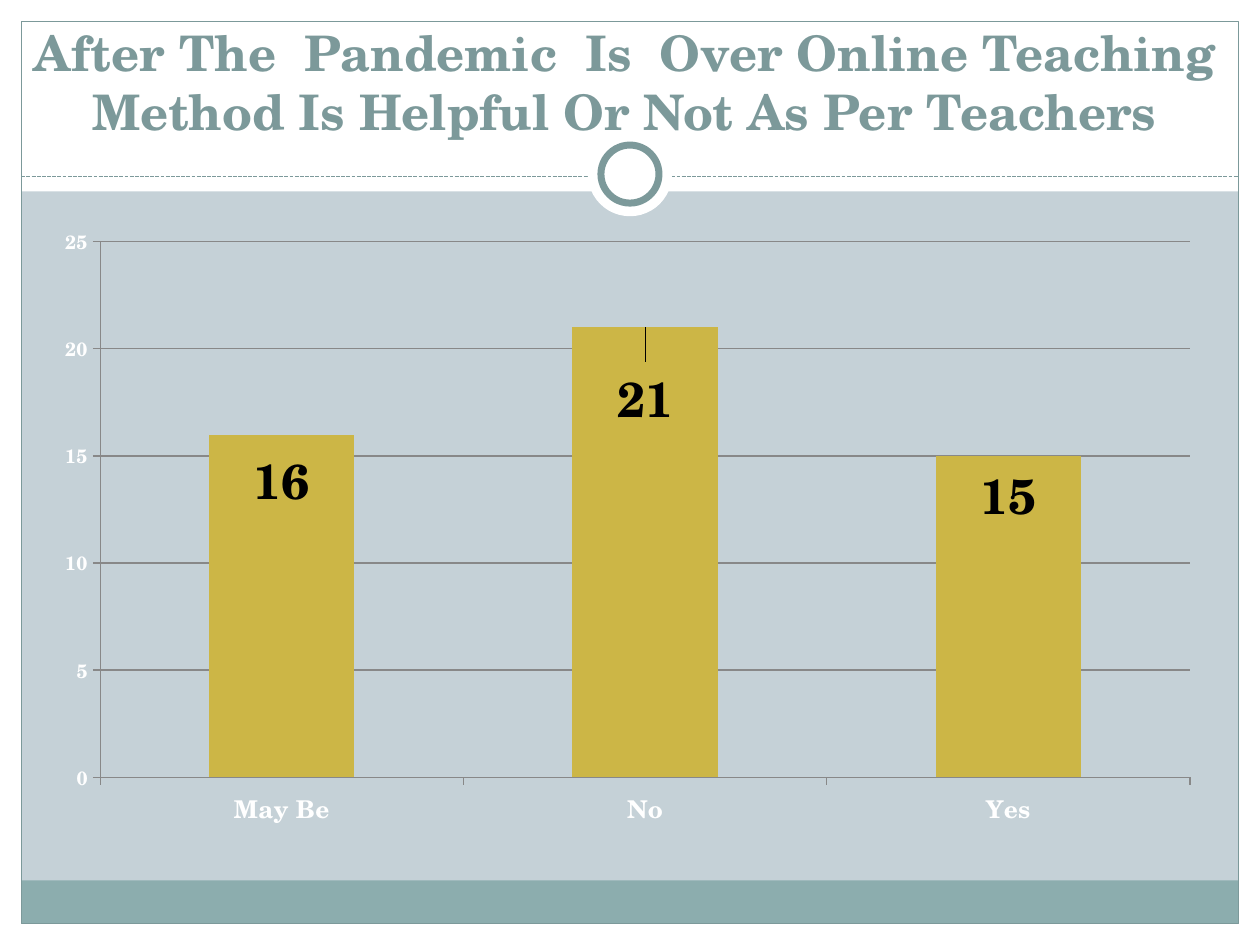
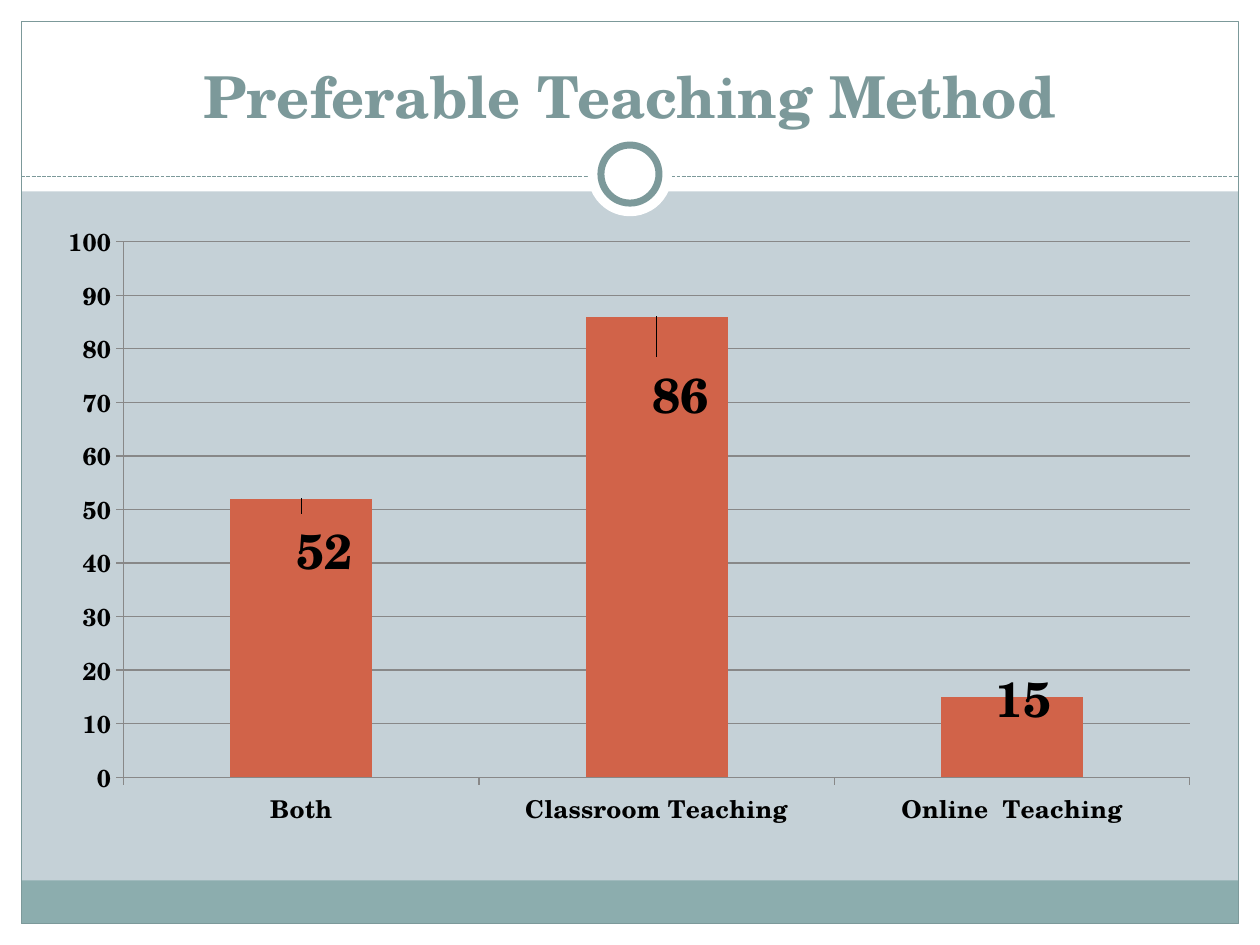
from lxml import etree
from pptx import Presentation
from pptx.chart.data import CategoryChartData
from pptx.dml.color import RGBColor
from pptx.enum.chart import XL_CHART_TYPE, XL_LABEL_POSITION, XL_TICK_MARK
from pptx.enum.dml import MSO_LINE
from pptx.enum.shapes import MSO_CONNECTOR, MSO_SHAPE
from pptx.enum.text import MSO_ANCHOR, MSO_AUTO_SIZE, PP_ALIGN
from pptx.oxml.ns import qn
from pptx.util import Cm, Pt

RECTANGLE, OVAL = MSO_SHAPE.RECTANGLE, MSO_SHAPE.OVAL
STRAIGHT = MSO_CONNECTOR.STRAIGHT
DASH = MSO_LINE.SQUARE_DOT
COLUMNS = XL_CHART_TYPE.COLUMN_CLUSTERED
OUTSIDE_END = XL_LABEL_POSITION.OUTSIDE_END
TICK_OUT, TICK_NONE = XL_TICK_MARK.OUTSIDE, XL_TICK_MARK.NONE
CENTER, BOTTOM = PP_ALIGN.CENTER, MSO_ANCHOR.BOTTOM
NO_AUTOFIT = MSO_AUTO_SIZE.NONE

WHITE = RGBColor(0xFF, 0xFF, 0xFF)
BLACK = RGBColor(0x00, 0x00, 0x00)
MIST = RGBColor(0xC5, 0xD1, 0xD7)
TEAL = RGBColor(0x7C, 0x99, 0x9A)
FOOTER_TEAL = RGBColor(0x8C, 0xAD, 0xAE)
GOLD = RGBColor(0xCC, 0xB6, 0x46)
BRICK = RGBColor(0xD1, 0x63, 0x49)
GRID_GREY = RGBColor(0x88, 0x88, 0x88)

FONT = "TeX Gyre Schola"
WIDTH, HEIGHT = 25.4, 19.05
MARGIN = 0.43
HEADER_HEIGHT = 3.86
FOOTER_TOP, FOOTER_HEIGHT = 17.75, 0.87
RULE_Y = 3.56
RING_Y = 3.51
CHART_BOX = (0.84, 4.24, 23.62, 12.7)


def style_font(font, size, color):
    font.name = FONT
    font.size = Pt(size)
    font.bold = True
    font.color.rgb = color


def chart_layout(**settings):
    """Return a manual c:layout element with the given settings."""
    layout = etree.Element(qn("c:layout"))
    manual = etree.SubElement(layout, qn("c:manualLayout"))
    for tag, value in settings.items():
        etree.SubElement(manual, qn(f"c:{tag}"), val=str(value))
    return layout


class SurveyDeck:
    def __init__(self):
        self.prs = Presentation()
        self.prs.slide_width, self.prs.slide_height = Cm(WIDTH), Cm(HEIGHT)
        background = self.prs.slide_master.background.fill
        background.solid()
        background.fore_color.rgb = MIST
        self.slide = None

    def new_slide(self):
        self.slide = self.prs.slides.add_slide(self.prs.slide_layouts[5])
        self.frame()

    def shape(self, kind, box, fill=None, line=None, weight=0.75):
        shape = self.slide.shapes.add_shape(kind, *map(Cm, box))
        shape.shadow.inherit = False
        if fill is None:
            shape.fill.background()
        else:
            shape.fill.solid()
            shape.fill.fore_color.rgb = fill
        if line is None:
            shape.line.fill.background()
        else:
            shape.line.color.rgb = line
            shape.line.width = Pt(weight)

    def circle(self, diameter, **style):
        left, top = WIDTH / 2 - diameter / 2, RING_Y - diameter / 2
        self.shape(OVAL, (left, top, diameter, diameter), WHITE, **style)

    def rule(self):
        rule = self.slide.shapes.add_connector(
            STRAIGHT, Cm(MARGIN), Cm(RULE_Y), Cm(WIDTH - MARGIN), Cm(RULE_Y))
        rule.line.color.rgb = TEAL
        rule.line.width = Pt(0.75)
        rule.line.dash_style = DASH
        etree.SubElement(rule._element.spPr, qn("a:effectLst"))

    def frame(self):
        """Draw the white border, footer band, outline and title ring."""
        inner_width = WIDTH - 2 * MARGIN
        for border in ((0, HEIGHT - MARGIN, WIDTH, MARGIN),
                       (0, 0, WIDTH, HEADER_HEIGHT),
                       (0, 0, MARGIN, HEIGHT),
                       (WIDTH - MARGIN, 0, MARGIN, HEIGHT)):
            self.shape(RECTANGLE, border, WHITE)
        self.shape(RECTANGLE,
                   (MARGIN, FOOTER_TOP, inner_width, FOOTER_HEIGHT), FOOTER_TEAL)
        self.shape(RECTANGLE,
                   (MARGIN, MARGIN, inner_width, HEIGHT - 2 * MARGIN), line=TEAL)
        self.rule()
        self.circle(1.7)
        self.circle(1.17, line=TEAL, weight=4)

    def title(self, text, box, size):
        title = self.slide.shapes.title
        self.slide.shapes._spTree.append(title._element)  # above the header band
        title.left, title.top, title.width, title.height = map(Cm, box)
        text_frame = title.text_frame
        text_frame.text = text
        text_frame.word_wrap = True
        text_frame.auto_size = NO_AUTOFIT
        text_frame.vertical_anchor = BOTTOM
        paragraph = text_frame.paragraphs[0]
        paragraph.alignment = CENTER
        style_font(paragraph.runs[0].font, size, TEAL)

    def column_chart(self, answers, bar_color, axis_color, value_size,
                     top_value, step, plot_box, label_shifts):
        data = CategoryChartData()
        data.categories = list(answers)
        data.add_series("Series 1", list(answers.values()))
        chart = self.slide.shapes.add_chart(
            COLUMNS, *map(Cm, CHART_BOX), data).chart
        chart.has_legend = False
        chart.has_title = False
        style_font(chart.font, 14, BLACK)
        self.axes(chart, axis_color, value_size, top_value, step)

        plot = chart.plots[0]
        plot.gap_width = 150
        plot.vary_by_categories = False
        bars = plot.series[0]
        bars.format.fill.solid()
        bars.format.fill.fore_color.rgb = bar_color
        self.bar_labels(chart, bars, label_shifts)

        plot_area = chart._chartSpace.chart.plotArea
        for automatic in plot_area.findall(qn("c:layout")):
            plot_area.remove(automatic)
        x, y, w, h = plot_box
        plot_area.insert(0, chart_layout(layoutTarget="inner", xMode="edge",
                                         yMode="edge", x=x, y=y, w=w, h=h))

    def axes(self, chart, color, value_size, top_value, step):
        values, categories = chart.value_axis, chart.category_axis
        for axis, size in ((categories, 14), (values, value_size)):
            style_font(axis.tick_labels.font, size, color)
            axis.major_tick_mark = TICK_OUT
            axis.minor_tick_mark = TICK_NONE
            axis.format.line.color.rgb = GRID_GREY
            axis.format.line.width = Pt(0.75)
        values.minimum_scale, values.maximum_scale = 0, top_value
        values.major_unit = step
        values.has_major_gridlines = True
        values.major_gridlines.format.line.color.rgb = GRID_GREY
        values.major_gridlines.format.line.width = Pt(0.75)

    def bar_labels(self, chart, bars, shifts):
        """Move each value label from above its bar by a share of the chart."""
        labels = bars.data_labels
        labels.show_value = True
        style_font(labels.font, 28, BLACK)
        for index in range(len(shifts)):
            label = bars.points[index].data_label
            style_font(label.font, 28, BLACK)
            label.position = OUTSIDE_END
        for label, (x, y) in zip(chart._chartSpace.xpath(".//c:dLbl"), shifts):
            label.insert(1, chart_layout(x=x, y=y))


def main():
    deck = SurveyDeck()

    deck.new_slide()
    deck.title("After The  Pandemic  Is  Over Online Teaching Method "
               "Is Helpful Or Not As Per Teachers",
               (-0.43, 0.84, 26.04, 2.11), 28)
    deck.column_chart({"May Be": 16, "No": 21, "Yes": 15}, GOLD, WHITE,
                      value_size=11, top_value=25, step=5,
                      plot_box=(0.05, 0.05, 0.93, 0.85),
                      label_shifts=((0, 0.14), (0, 0.18), (0, 0.13)))

    deck.new_slide()
    deck.title("Preferable Teaching Method", (0.84, 0.64, 23.7, 2.11), 33)
    deck.column_chart({"Both": 52, "Classroom Teaching": 86,
                       "Online  Teaching": 15}, BRICK, BLACK,
                      value_size=14, top_value=100, step=10,
                      plot_box=(0.07, 0.05, 0.91, 0.85),
                      label_shifts=((0.02, 0.15), (0.02, 0.19), (0.01, 0.07)))

    deck.prs.save("out.pptx")


if __name__ == "__main__":
    main()
